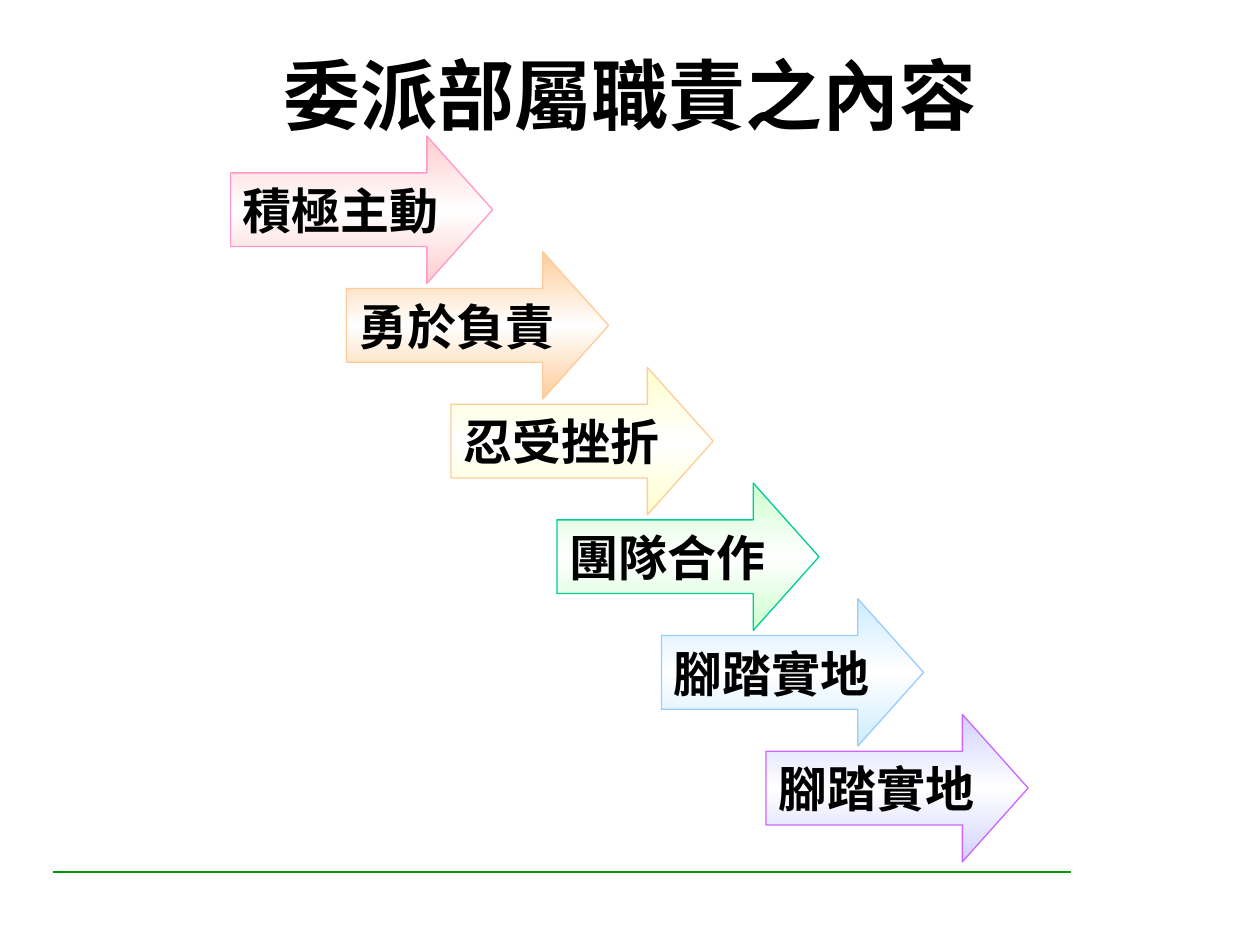
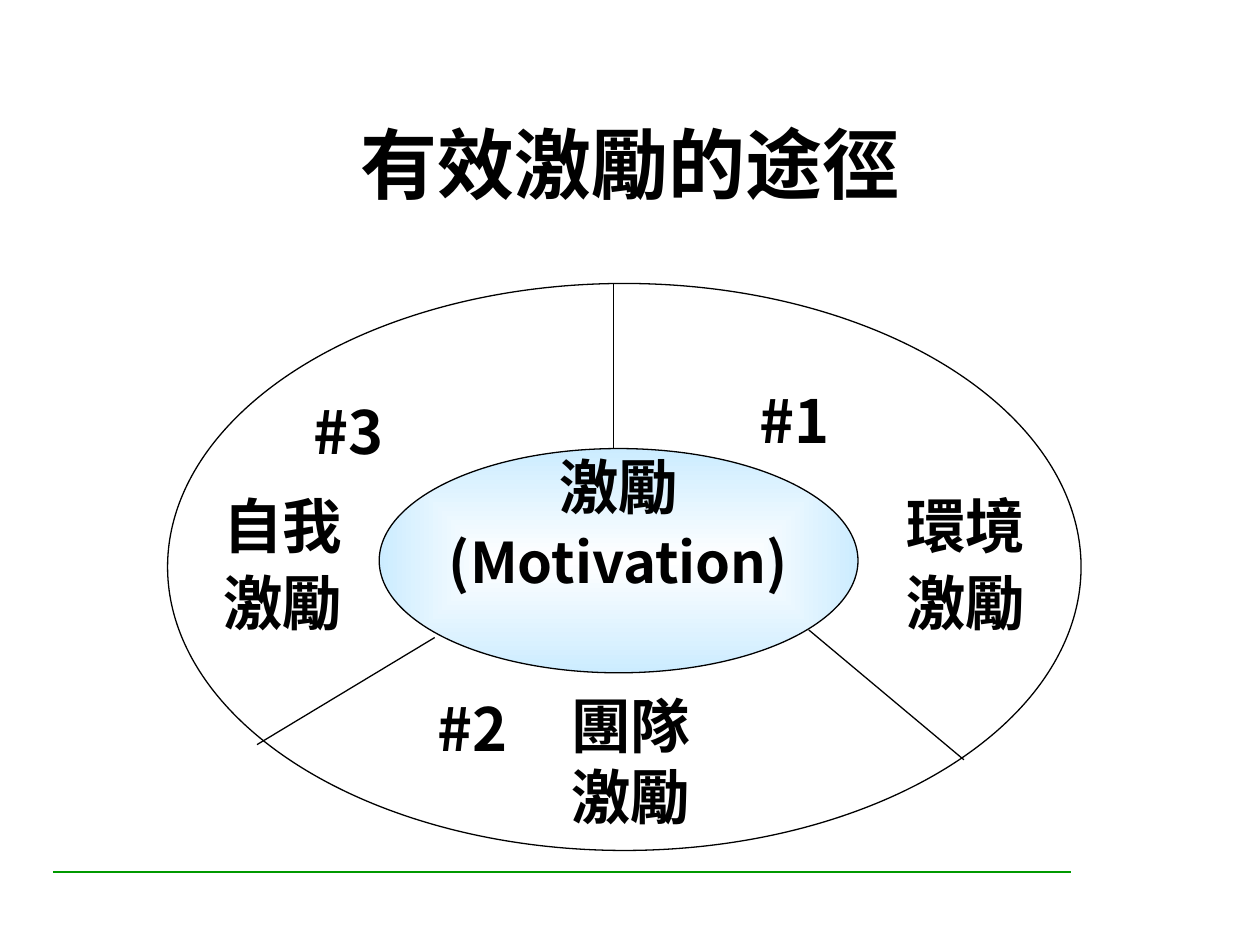
import pptx
import pptx.util
import pptx.dml.color
import pptx.enum.shapes
import pptx.enum.text
import pptx.oxml
import pptx.oxml.ns
from lxml import etree

Inches = pptx.util.Inches
Pt = pptx.util.Pt
RGB = pptx.dml.color.RGBColor
KIND = pptx.enum.shapes.MSO_SHAPE
ANCHOR = pptx.enum.text.MSO_ANCHOR
ALIGN = pptx.enum.text.PP_ALIGN
FIT = pptx.enum.text.MSO_AUTO_SIZE

BLACK = RGB(0x00, 0x00, 0x00)
WHITE = RGB(0xFF, 0xFF, 0xFF)
GREEN = RGB(0x00, 0x99, 0x00)
SKY = RGB(0xCC, 0xEC, 0xFF)
BLUE = RGB(0x99, 0xCC, 0xFF)
CREAM = RGB(0xFF, 0xFF, 0xCC)
PEACH = RGB(0xFF, 0xCC, 0x99)
MINT = RGB(0xCC, 0xFF, 0xCC)
TEAL = RGB(0x00, 0xCC, 0x99)
BLUSH = RGB(0xFF, 0xCC, 0xCC)
PINK = RGB(0xFF, 0x99, 0xCC)
LILAC = RGB(0xD1, 0xD1, 0xFF)
PURPLE = RGB(0xCC, 0x66, 0xFF)

SANS = "Noto Sans CJK SC"
SERIF = "Times New Roman"

TITLE = {"size": Pt(44), "name": SANS}
LABEL = {"size": Pt(34), "name": SANS}
SMALL = {"size": Pt(32), "name": SANS}
STEP = {"size": Pt(28), "name": SERIF}
CENTER = {"alignment": ALIGN.CENTER}
TIGHT = {"alignment": ALIGN.CENTER, "line_spacing": 0.5, "space_before": Pt(21.3)}
CLOSE = {"alignment": ALIGN.CENTER, "line_spacing": 0.5, "space_before": Pt(20)}

STEPS = [
    ("積極主動", 0, BLUSH, PINK),
    ("勇於負責", 0.92, PEACH, PEACH),
    ("忍受挫折", 1.75, CREAM, PEACH),
    ("團隊合作", 2.59, MINT, TEAL),
    ("腳踏實地", 3.42, SKY, BLUE),
    ("腳踏實地", 4.25, LILAC, PURPLE),
]
SPOKES = [
    (3.54, 0, 3.54, 1.31),
    (2.12, 2.81, 0.71, 3.66),
    (5.09, 2.75, 6.32, 3.78),
]
TAGS = [("#3", 1.06, 0.84), ("#1", 4.6, 0.75), ("#2", 2.04, 3.19)]
SECTORS = [
    (["自我", "激勵"], 0.25, 1.58, 1.25),
    (["環境", "激勵"], 5.67, 1.58, 1.25),
    (["團隊激勵"], 3.01, 3.17, 1.24),
]


def apply(target, values):
    for key, value in values.items():
        setattr(target, key, value)


def write(frame, lines):
    for i, (text, layout, style) in enumerate(lines):
        para = frame.paragraphs[0] if i == 0 else frame.add_paragraph()
        apply(para, layout)
        run = para.add_run()
        run.text = text
        apply(run.font, {"bold": True, **style})
        run.font.color.rgb = BLACK
        east = etree.SubElement(run.font._element, pptx.oxml.ns.qn("a:ea"))
        east.set("typeface", SANS)


def text_box(slide, box, lines, **frame):
    shape = slide.shapes.add_textbox(*map(Inches, box))
    apply(shape.text_frame, {"word_wrap": True, **frame})
    write(shape.text_frame, lines)


def line(slide, ends, color=BLACK, width=0.75):
    link = slide.shapes.add_connector(
        pptx.enum.shapes.MSO_CONNECTOR.STRAIGHT, *map(Inches, ends))
    link.line.color.rgb = color
    link.line.width = Pt(width)
    etree.SubElement(link._element.spPr, pptx.oxml.ns.qn("a:effectLst"))


def outline(slide, kind, box, color=BLACK):
    shape = slide.shapes.add_shape(kind, *map(Inches, box))
    shape.shadow.inherit = False
    shape.fill.background()
    shape.line.color.rgb = color
    shape.line.width = Pt(0.75)
    return shape


def shade(shape, stops, course):
    marks = "".join(
        f'<a:gs pos="{at * 1000}"><a:srgbClr val="{color}"/></a:gs>'
        for at, color in stops)
    grad = pptx.oxml.parse_xml(
        f'<a:gradFill {pptx.oxml.ns.nsdecls("a")} rotWithShape="1">'
        f"<a:gsLst>{marks}</a:gsLst>{course}</a:gradFill>")
    props = shape._element.spPr
    props.replace(props.find(pptx.oxml.ns.qn("a:noFill")), grad)


def base(deck, title, box):
    slide = deck.slides.add_slide(deck.slide_layouts[6])
    line(slide, (0.42, 6.92, 8.5, 6.92), GREEN, 1.5)
    text_box(slide, box, [(title, CENTER, TITLE)], vertical_anchor=ANCHOR.MIDDLE)
    return slide


def stairs(slide, box):
    left, top, width, height = box
    wide, high = 2.08, 1.17
    rise = (height - high) / (len(STEPS) - 1)
    for i, (text, shift, tint, edge) in enumerate(STEPS):
        arrow = outline(slide, KIND.RIGHT_ARROW,
                        (left + shift, top + i * rise, wide, high), edge)
        arrow.adjustments[0] = 0.5
        arrow.adjustments[1] = 0.446
        shade(arrow, [(0, tint), (50, WHITE), (100, tint)],
              '<a:lin ang="5400000" scaled="1"/>')
        apply(arrow.text_frame,
              {"word_wrap": False, "vertical_anchor": ANCHOR.MIDDLE})
        write(arrow.text_frame, [(text, {"alignment": ALIGN.LEFT}, STEP)])


def wheel(slide, box):
    left, top, width, height = box
    outline(slide, KIND.OVAL, box)
    hub = outline(slide, KIND.OVAL, (left + 1.68, top + 1.31, 3.8, 1.78))
    shade(hub, [(0, WHITE), (100, SKY)],
          '<a:path path="rect"><a:fillToRect l="50000" t="50000" '
          'r="50000" b="50000"/></a:path>')
    apply(hub.text_frame, {"word_wrap": False, "vertical_anchor": ANCHOR.MIDDLE,
                           "margin_bottom": Inches(0.69)})
    write(hub.text_frame, [("激勵", CENTER, LABEL), ("(Motivation)", CLOSE, SMALL)])
    for x1, y1, x2, y2 in SPOKES:
        line(slide, (left + x1, top + y1, left + x2, top + y2))
    for text, x, y in TAGS:
        text_box(slide, (left + x, top + y, 0.88, 0.67), [(text, {}, LABEL)],
                 auto_size=FIT.SHAPE_TO_FIT_TEXT)
    for words, x, y, high in SECTORS:
        lines = [(word, TIGHT if i else CENTER, LABEL)
                 for i, word in enumerate(words)]
        text_box(slide, (left + x, top + y, 1.33, high), lines,
                 auto_size=FIT.SHAPE_TO_FIT_TEXT)


def main():
    deck = pptx.Presentation()
    deck.slide_width, deck.slide_height = Inches(10), Inches(7.5)
    stairs(base(deck, "委派部屬職責之內容", (0.79, 0.37, 8.42, 0.75)),
           (1.83, 1.08, 6.33, 5.76))
    wheel(base(deck, "有效激勵的途徑", (0.81, 0.73, 8.38, 1.13)),
          (1.33, 2.25, 7.25, 4.5))
    deck.save("out.pptx")


if __name__ == "__main__":
    main()
